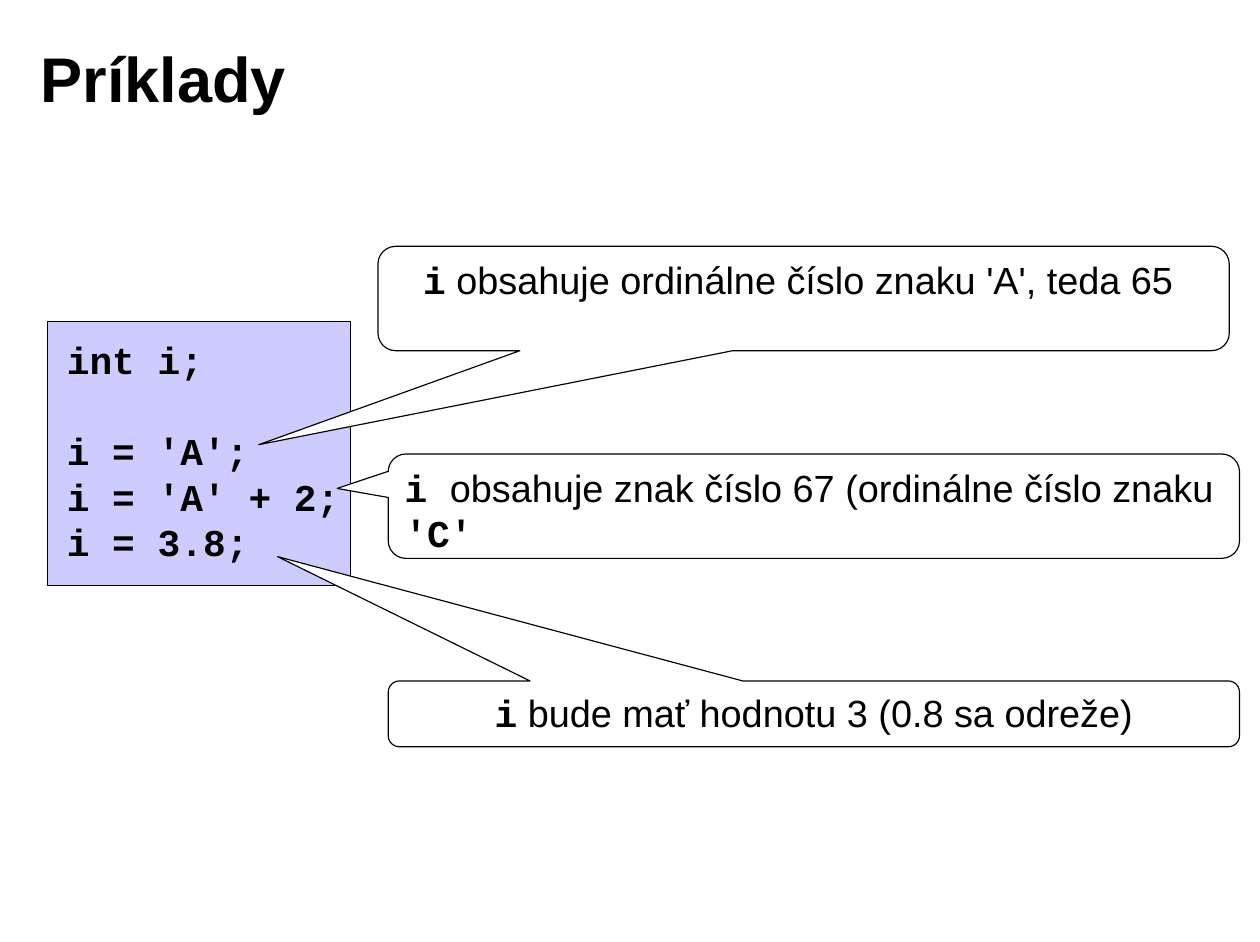
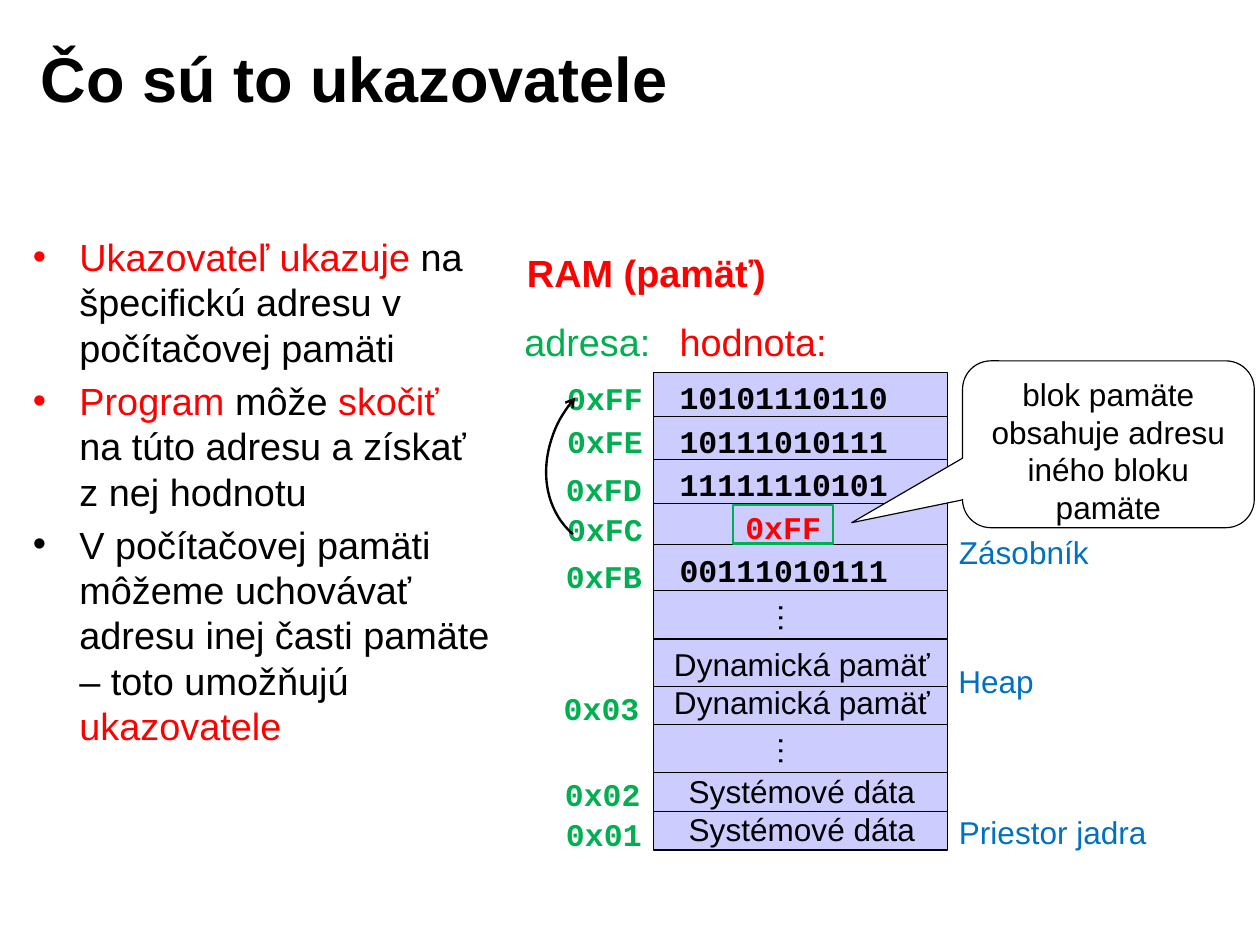
from lxml.etree import SubElement
from pptx import Presentation
from pptx.dml.color import RGBColor
from pptx.enum.shapes import MSO_CONNECTOR as CONN, MSO_SHAPE as SHAPE
from pptx.enum.text import MSO_ANCHOR as ANCHOR, PP_ALIGN as ALIGN
from pptx.oxml.ns import qn
from pptx.util import Emu, Pt

PX = 9144
BLACK, WHITE, RED = "000000", "FFFFFF", "FF0000"
GREEN, BLUE, LILAC = "00B050", "0070C0", "CCCCFF"
SANS = {"name": "Arial", "bold": False}
HEAD = {"name": "Arial", "bold": True}
CODE = {"name": "Courier New", "bold": True}


def px(*values):
    return [Emu(v * PX) for v in values]


def rgb(color):
    return RGBColor.from_string(color)


def add_runs(p, runs, size):
    for text, face, color in runs:
        r = p.add_run()
        r.text = text
        for name, value in {**face, "size": Pt(size)}.items():
            setattr(r.font, name, value)
        r.font.color.rgb = rgb(color)


def write(tf, paragraphs, size, align, **frame):
    for name, value in {"word_wrap": True, "vertical_anchor": ANCHOR.TOP, **frame}.items():
        setattr(tf, name, value)
    for i, runs in enumerate(paragraphs):
        p = tf.paragraphs[0] if i == 0 else tf.add_paragraph()
        p.alignment = align
        add_runs(p, runs, size)
    return tf.paragraphs


def add_text(s, box, paragraphs, size, align=ALIGN.LEFT, **frame):
    sp = s.shapes.add_textbox(*px(*box))
    write(sp.text_frame, paragraphs, size, align, **frame)
    return sp


def add_label(s, box, text, face, color, size=20):
    return add_text(s, box, [[(text, face, color)]], size, ALIGN.CENTER, word_wrap=False)


def add_outline(s, kind, box, fill=None, line=BLACK, width=0.75):
    sp = s.shapes.add_shape(kind, *px(*box))
    sp.shadow.inherit = False
    if fill:
        sp.fill.solid()
        sp.fill.fore_color.rgb = rgb(fill)
    else:
        sp.fill.background()
    sp.line.color.rgb = rgb(line)
    sp.line.width = Pt(width)
    return sp


def add_callout(s, box, tip, runs, size=24, align=ALIGN.CENTER):
    sp = add_outline(s, SHAPE.ROUNDED_RECTANGULAR_CALLOUT, box, WHITE)
    for i, value in enumerate((*tip, 0.17)):
        sp.adjustments[i] = value
    write(sp.text_frame, [runs], size, align)


def add_divider(s, left, right, y):
    c = s.shapes.add_connector(CONN.STRAIGHT, *px(left, y, right, y))
    c.line.color.rgb = rgb(BLACK)
    c.line.width = Pt(0.75)
    SubElement(c._element.spPr, qn("a:effectLst"))


def add_bullets(s, box, paragraphs):
    sp = add_text(s, box, paragraphs, 24, margin_left=px(11)[0], margin_right=px(11)[0],
                  margin_top=px(6)[0], margin_bottom=px(6)[0])
    indent = px(41)[0]
    for i, p in enumerate(sp.text_frame.paragraphs):
        pPr = p._p.get_or_add_pPr()
        pPr.set("marL", str(indent))
        pPr.set("indent", str(-indent))
        SubElement(pPr, qn("a:buFont"), typeface="Arial")
        SubElement(pPr, qn("a:buChar"), char="•")
        if i:
            p.space_before = Pt(4.8)


def add_slide(prs, title):
    s = prs.slides.add_slide(prs.slide_layouts[6])
    add_text(s, (25, 17, 892, 102), [[(title, HEAD, BLACK)]], 40,
             vertical_anchor=ANCHOR.MIDDLE, margin_left=px(11)[0])
    return s


def build_examples(prs):
    s = add_slide(prs, "Príklady")
    add_outline(s, SHAPE.RECTANGLE, (42, 283, 267, 233), LILAC)
    lines = ["int i;", "i = 'A';", "i = 'A' + 2;", "i = 3.8;"]
    code = add_text(s, (49, 292, 262, 212), [[(t, CODE, BLACK)] for t in lines], 24,
                    word_wrap=False)
    code.text_frame.paragraphs[1].space_before = Pt(29)

    add_callout(s, (333, 217, 750, 92), (-0.64, 1.4),
                [("i", CODE, BLACK),
                 (" obsahuje ordinálne číslo znaku 'A', teda 65 ", SANS, BLACK)])
    add_callout(s, (342, 400, 750, 92), (-0.56, -0.17),
                [("i ", CODE, BLACK),
                 ("obsahuje znak číslo 67 (ordinálne číslo znaku ", SANS, BLACK),
                 ("'C'", CODE, BLACK)], align=ALIGN.LEFT)
    add_callout(s, (342, 600, 750, 58), (-0.63, -2.39),
                [("i", CODE, BLACK), (" bude mať hodnotu 3 (0.8 sa odreže)", SANS, BLACK)])


def add_memory(s):
    left, right = 576, 835
    add_outline(s, SHAPE.RECTANGLE, (left, 328, right - left, 421), LILAC)
    for y in (367, 405, 444, 480, 520, 563, 605, 638, 681, 715):
        add_divider(s, left, right, y)

    add_label(s, (453, 215, 233, 50), "RAM (pamäť)", HEAD, RED, 24)
    add_label(s, (451, 276, 133, 50), "adresa:", SANS, GREEN, 24)
    add_label(s, (588, 276, 151, 50), "hodnota:", SANS, RED, 24)

    addresses = [(489, 329, "0xFF"), (489, 367, "0xFE"), (488, 409, "0xFD"),
                 (489, 444, "0xFC"), (488, 486, "0xFB"), (486, 602, "0x03"),
                 (487, 678, "0x02"), (488, 713, "0x01")]
    for x, y, text in addresses:
        add_label(s, (x, y, 88, 44), text, CODE, GREEN)

    values = [(328, "10101110110"), (367, "10111010111"),
              (405, "11111110101"), (481, "00111010111")]
    for y, text in values:
        add_label(s, (588, y, 205, 44), text, CODE, BLACK)
    add_label(s, (646, 443, 88, 44), "0xFF", CODE, RED)
    add_outline(s, SHAPE.RECTANGLE, (646, 445, 88, 34), line=GREEN, width=1.5)

    for y in (523, 640):
        add_label(s, (673, y, 48, 44), "…", SANS, BLACK).rotation = 90
    for y, text in ((563, "Dynamická pamäť"), (597, "Dynamická pamäť"),
                    (675, "Systémové dáta"), (709, "Systémové dáta")):
        add_label(s, (583, y, 247, 44), text, SANS, BLACK)
    for y, width, text in ((465, 136, "Zásobník"), (578, 87, "Heap"),
                           (711, 187, "Priestor jadra")):
        add_label(s, (834, y, width, 44), text, SANS, BLUE)


def build_pointers(prs):
    s = add_slide(prs, "Čo sú to ukazovatele")
    add_bullets(s, (18, 200, 425, 533), [
        [("Ukazovateľ ukazuje ", SANS, RED),
         ("na špecifickú adresu v počítačovej pamäti", SANS, BLACK)],
        [("Program", SANS, RED), (" môže ", SANS, BLACK), ("skočiť", SANS, RED),
         (" na túto adresu a získať z nej hodnotu", SANS, BLACK)],
        [("V počítačovej pamäti môžeme uchovávať adresu inej časti pamäte – toto umožňujú ",
          SANS, BLACK), ("ukazovatele", SANS, RED)],
    ])
    add_memory(s)
    arc = add_outline(s, SHAPE.ARC, (488, 308, 154, 185), width=1.5)
    arc.rotation = 220.7
    SubElement(arc.line._get_or_add_ln(), qn("a:tailEnd"), type="arrow")
    add_callout(s, (848, 318, 257, 147), (-0.88, 0.47),
                [("blok pamäte obsahuje adresu iného bloku pamäte", SANS, BLACK)], 20)


def main():
    prs = Presentation()
    prs.slide_width, prs.slide_height = px(1110, 830)
    build_examples(prs)
    build_pointers(prs)
    prs.save("out.pptx")


if __name__ == "__main__":
    main()
